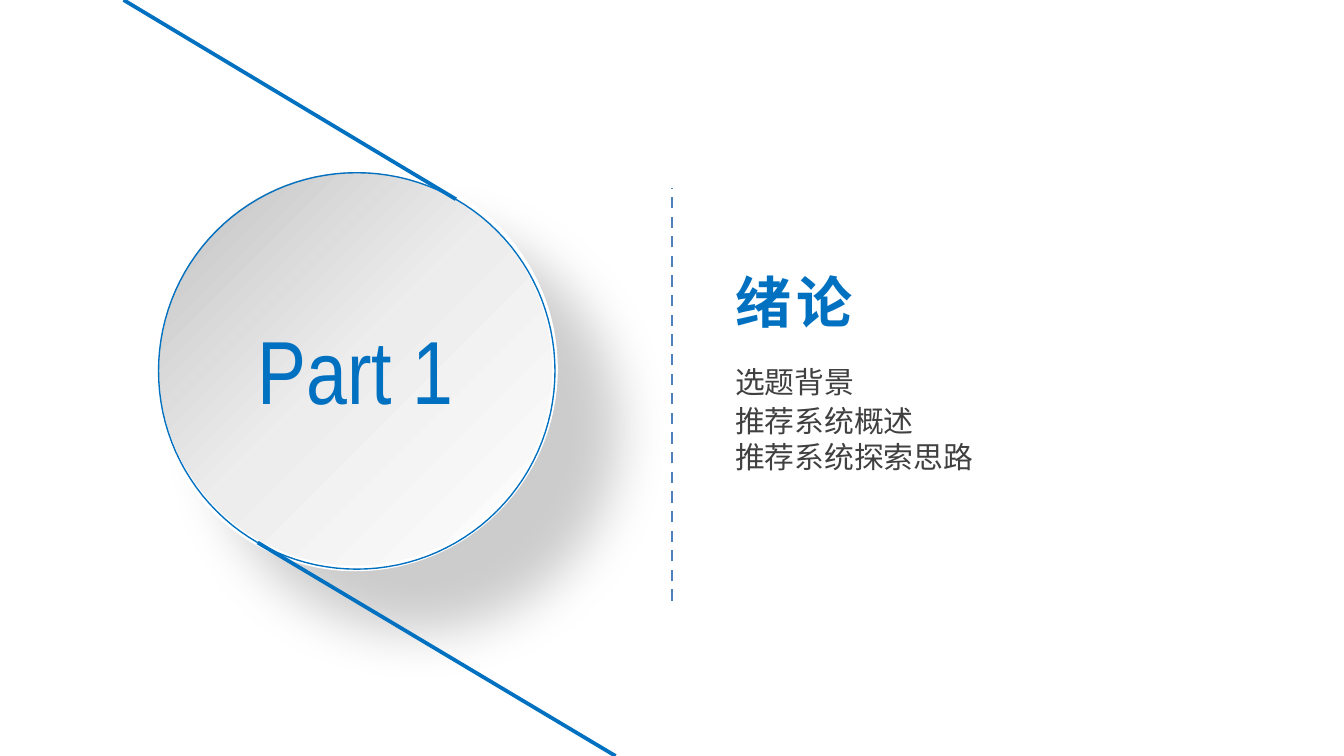
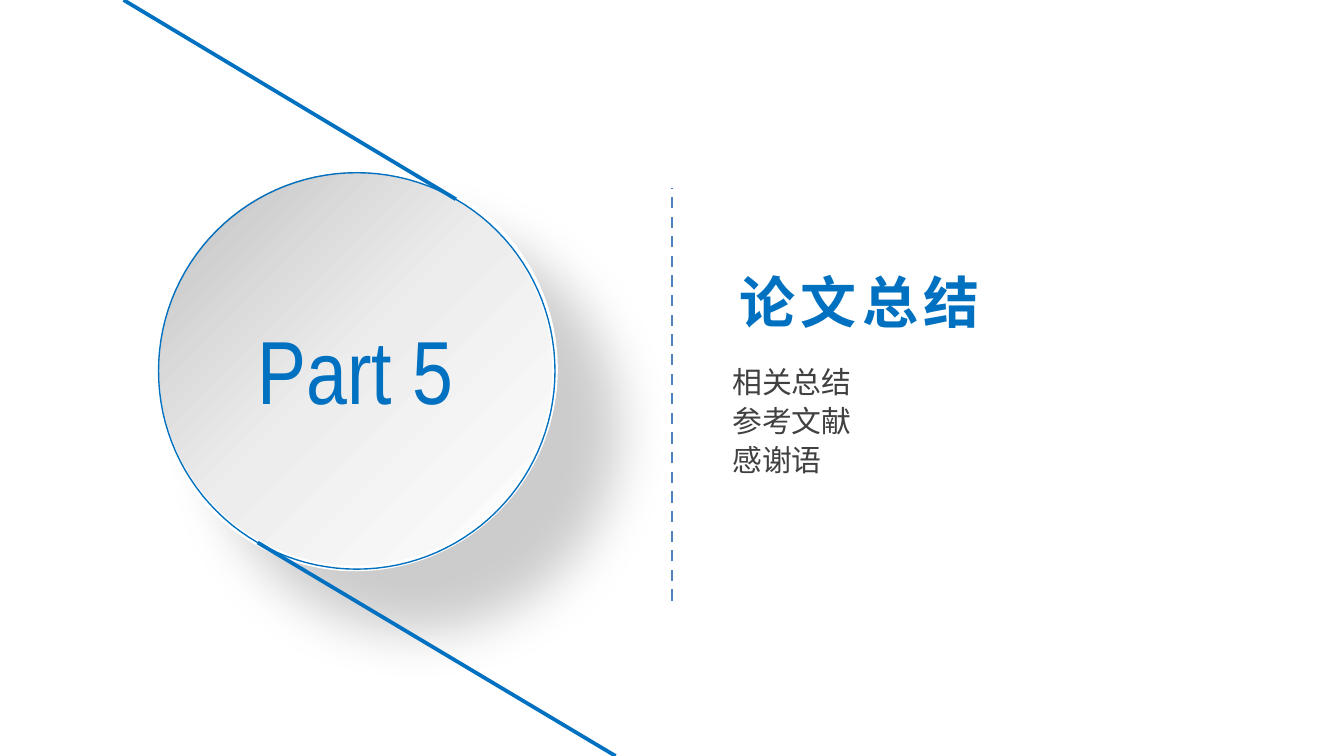
from math import cos, radians, sin

from lxml import etree
from pptx import Presentation
from pptx.dml.color import RGBColor
from pptx.enum.dml import MSO_LINE
from pptx.enum.shapes import MSO_CONNECTOR, MSO_SHAPE
from pptx.enum.text import MSO_ANCHOR, MSO_AUTO_SIZE, PP_ALIGN
from pptx.oxml.ns import qn
from pptx.util import Inches, Pt

# Content: each block of topics is one text box; left edges in inches
SECTIONS = [
    {"part": "Part 1", "title": "绪论", "title_left": 5.37, "title_width": 1.13,
     "topics_left": 5.47,
     "topics": [["选题背景"], ["推荐系统概述", "推荐系统探索思路"]]},
    {"part": "Part 5", "title": "论文总结", "title_left": 5.4, "title_width": 2.05,
     "topics_left": 5.45,
     "topics": [["相关总结"], ["参考文献"], ["感谢语"]]},
]

# Shared style
BLUE = RGBColor(0x00, 0x70, 0xC0)
DIVIDER_BLUE = RGBColor(0x4F, 0x81, 0xBD)
DARK = RGBColor(0x40, 0x40, 0x40)
SILVER = RGBColor(0xC0, 0xC0, 0xC0)
PALE = RGBColor(0xED, 0xED, 0xED)
WHITE = RGBColor(0xFF, 0xFF, 0xFF)
CJK = "Noto Sans CJK SC"
PART_FONT = {"name": "Arial Narrow", "size": Pt(48), "bold": False}
TITLE_FONT = {"name": CJK, "size": Pt(30), "bold": True}
TOPIC_FONT = {"name": CJK, "size": Pt(16), "bold": False}
STRAIGHT = MSO_CONNECTOR.STRAIGHT
OVAL = MSO_SHAPE.OVAL
DASH = MSO_LINE.DASH
LEFT, CENTER = PP_ALIGN.LEFT, PP_ALIGN.CENTER
TOP, MIDDLE = MSO_ANCHOR.TOP, MSO_ANCHOR.MIDDLE
FIT_SHAPE = MSO_AUTO_SIZE.SHAPE_TO_FIT_TEXT

# Geometry in inches
WIDTH, HEIGHT = 10, 5.625
DISC_LEFT, DISC_TOP, DISC_SIZE = 1.16, 1.26, 2.97
RING_X, RING_Y, RING_RADIUS = 2.655, 2.76, 1.475
RING_START, RING_STEP = -60, 3
TOPICS_TOP, TOPIC_PITCH, TOPIC_HEIGHT, TOPIC_WIDTH = 2.71, 0.29, 0.27, 2.05


def box(*lengths):
    return [Inches(length) for length in lengths]


def format_frame(frame, settings):
    for key, value in settings.items():
        setattr(frame, key, value)


def write(paragraph, text, font, color, align=LEFT, spacing=None):
    paragraph.alignment = align
    run = paragraph.add_run()
    run.text = text
    for key, value in font.items():
        setattr(run.font, key, value)
    run.font.color.rgb = color
    properties = run.font._element
    etree.SubElement(properties, qn("a:ea"), typeface=font["name"])
    if spacing:
        properties.set("spc", str(spacing * 100))


def set_gradient(fill, owner, stops):
    """Fill with (percent, colour) stops running to the lower right."""
    fill.gradient()
    gradient = owner.find(qn("a:gradFill"))
    for child in list(gradient):
        gradient.remove(child)
    stop_list = etree.SubElement(gradient, qn("a:gsLst"))
    for percent, color in stops:
        stop = etree.SubElement(stop_list, qn("a:gs"), pos=str(percent * 1000))
        etree.SubElement(stop, qn("a:srgbClr"), val=str(color))
    etree.SubElement(gradient, qn("a:lin"), ang=str(45 * 60000), scaled="0")


def add_line(slide, start, end, color, width=0, dash=None):
    line = slide.shapes.add_connector(STRAIGHT, *box(*start, *end))
    line.line.color.rgb = color
    line.line.width = Pt(width)
    if dash:
        line.line.dash_style = dash
    etree.SubElement(line._element.spPr, qn("a:effectLst"))


def ring_point(angle):
    return (RING_X + RING_RADIUS * cos(radians(angle)),
            RING_Y + RING_RADIUS * sin(radians(angle)))


def add_disc(slide, part):
    disc = slide.shapes.add_shape(OVAL, *box(DISC_LEFT, DISC_TOP, DISC_SIZE, DISC_SIZE))
    properties = disc._element.spPr
    set_gradient(disc.fill, properties, [(0, SILVER), (49, PALE), (100, WHITE)])
    disc.line.width = Pt(3)
    set_gradient(disc.line.fill, properties.find(qn("a:ln")), [(0, WHITE), (100, SILVER)])

    # Soft shadow towards the lower right
    disc.shadow.inherit = False
    shadow = etree.SubElement(
        properties.find(qn("a:effectLst")), qn("a:outerShdw"),
        blurRad=str(int(Pt(29))), dist=str(int(Pt(46))), dir=str(45 * 60000),
        algn="tl", rotWithShape="0")
    tint = etree.SubElement(shadow, qn("a:srgbClr"), val="000000")
    etree.SubElement(tint, qn("a:alpha"), val="20000")

    frame = disc.text_frame
    format_frame(frame, {"margin_left": 0, "margin_right": 0, "margin_top": Inches(0.04),
                         "margin_bottom": Inches(0.04), "vertical_anchor": MIDDLE})
    write(frame.paragraphs[0], part, PART_FONT, BLUE, CENTER)


def add_ring(slide):
    # Two half circles, then the tangents that leave the slide
    for start in (RING_START, RING_START + 180):
        points = [box(*ring_point(angle))
                  for angle in range(start, start + 181, RING_STEP)]
        builder = slide.shapes.build_freeform(*points[0])
        builder.add_line_segments(points[1:], close=False)
        half = builder.convert_to_shape()
        half.fill.background()
        half.line.color.rgb = BLUE
        half.line.width = Pt(0)
        half.shadow.inherit = False
    add_line(slide, ring_point(RING_START), (0.92, 0), BLUE)
    add_line(slide, (4.58, HEIGHT), ring_point(RING_START + 180), BLUE)


def add_title(slide, section):
    title = slide.shapes.title
    title.left, title.top, title.width, title.height = box(
        section["title_left"], 1.94, section["title_width"], 0.61)
    format_frame(title.text_frame, {"word_wrap": False, "auto_size": FIT_SHAPE,
                                    "vertical_anchor": TOP})
    write(title.text_frame.paragraphs[0], section["title"], TITLE_FONT, BLUE, spacing=3)


def add_topics(slide, section):
    row = 0
    for block in section["topics"]:
        topic = slide.shapes.add_textbox(*box(
            section["topics_left"], TOPICS_TOP + row * TOPIC_PITCH,
            TOPIC_WIDTH, TOPIC_HEIGHT * len(block)))
        frame = topic.text_frame
        format_frame(frame, {"margin_left": 0, "margin_right": 0, "margin_top": 0,
                             "margin_bottom": 0, "word_wrap": True,
                             "auto_size": FIT_SHAPE})
        for index, text in enumerate(block):
            paragraph = frame.add_paragraph() if index else frame.paragraphs[0]
            write(paragraph, text, TOPIC_FONT, DARK)
        row += len(block)


def main():
    deck = Presentation()
    deck.slide_width, deck.slide_height = box(WIDTH, HEIGHT)
    title_only = deck.slide_layouts[5]
    for section in SECTIONS:
        slide = deck.slides.add_slide(title_only)
        add_disc(slide, section["part"])
        add_ring(slide)
        add_title(slide, section)
        add_line(slide, (5, 4.47), (5, 1.4), DIVIDER_BLUE, 1.5, DASH)
        add_topics(slide, section)
    deck.save("out.pptx")


if __name__ == "__main__":
    main()
